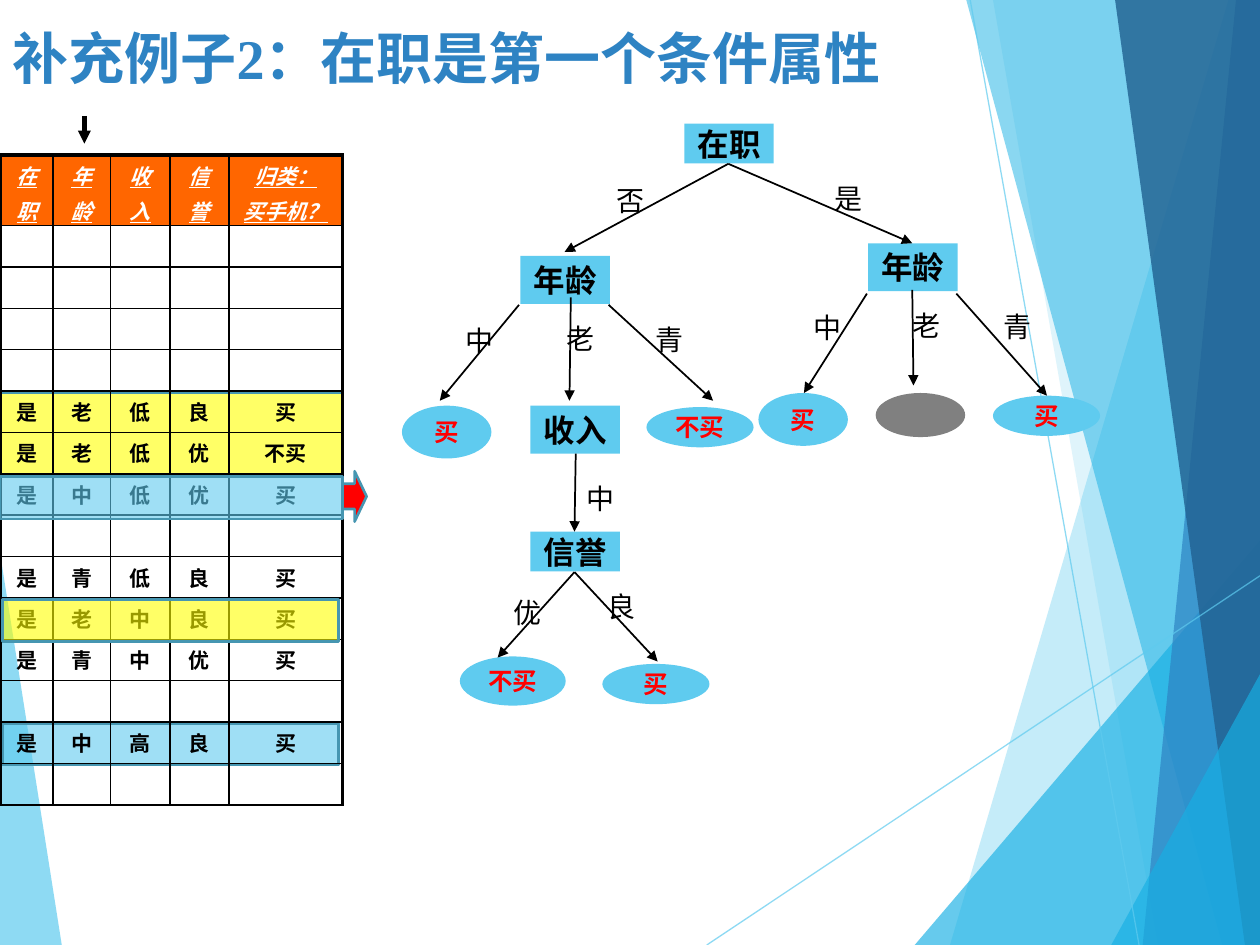
"""Build the slide on a decision tree whose first attribute is employment."""
import lxml.etree
import pptx
import pptx.dml.color
import pptx.enum.shapes
import pptx.enum.text
import pptx.oxml.ns
import pptx.util

Pt = pptx.util.Pt
RGB = pptx.dml.color.RGBColor
SHAPE = pptx.enum.shapes.MSO_SHAPE
ANCHOR = pptx.enum.text.MSO_ANCHOR
CENTER = pptx.enum.text.PP_ALIGN.CENTER
qn = pptx.oxml.ns.qn
SKY = RGB(0x5F, 0xCB, 0xEF)
AZURE = RGB(0x17, 0xB0, 0xE4)
BLUE = RGB(0x2E, 0x83, 0xC3)
NAVY = RGB(0x22, 0x62, 0x92)
TEAL = RGB(0x46, 0x96, 0xB1)
RED = RGB(0xFF, 0, 0)
YELLOW = RGB(0xFF, 0xFF, 0)
ORANGE = RGB(0xFF, 0x66, 0)
GREY = RGB(0x80, 0x80, 0x80)
BLACK = RGB(0, 0, 0)
WHITE = RGB(0xFF, 0xFF, 0xFF)
WIDE, HIGH = 720, 540

TITLE = "补充例子2：在职是第一个条件属性"
HEAD = ["在\n职", "年\n龄", "收\n入", "信\n誉", "归类：\n买手机？"]
BLANK = [""] * 5
ROWS = [
    HEAD, BLANK, BLANK, BLANK, BLANK,
    ["是", "老", "低", "良", "买"],
    ["是", "老", "低", "优", "不买"],
    ["是", "中", "低", "优", "买"],
    BLANK,
    ["是", "青", "低", "良", "买"],
    ["是", "老", "中", "良", "买"],
    ["是", "青", "中", "优", "买"],
    BLANK,
    ["是", "中", "高", "良", "买"],
    BLANK,
]
COLS = [29.5, 33.1, 33.8, 33.8, 64.8]
HEAD_H, ROW_H = 40.3, 23.66

BACK = [
    ([(0, 316), (35.3, HIGH), (0, HIGH)], SKY, 70),
    ([(702, 0), (542.9, HIGH), (WIDE, HIGH), (WIDE, 0)], SKY, 36),
    ([(567.4, 0), (661.7, HIGH), (WIDE, HIGH), (WIDE, 0)], SKY, 20),
    ([(522.7, HIGH), (WIDE, 308.9), (WIDE, HIGH)], AZURE, 66),
    ([(552.2, 0), (698.4, HIGH), (WIDE, HIGH), (WIDE, 0)], AZURE, 50),
    ([(706.3, 0), (653, HIGH), (WIDE, HIGH), (WIDE, 0)], BLUE, 70),
    ([(637.2, 0), (711.4, HIGH), (WIDE, HIGH), (WIDE, 0)], NAVY, 82),
    ([(635, HIGH), (WIDE, 385.2), (WIDE, HIGH)], AZURE, 66),
]
RAYS = [(403.9, HIGH, WIDE, 329), (554.4, 0, 650.9, HIGH)]
UNDER = [((1.4, 413.3, 192.2, 23.8), SKY), ((0, 224.6, 195.8, 47.5), YELLOW)]
OVER = [((1.4, 342.7, 192.2, 23.8), YELLOW), ((0, 272.2, 195.8, 24.5), SKY)]

TESTS = [
    ("在职", 391, 70.6, 22.7), ("年龄", 496.1, 139, 27.4),
    ("年龄", 297.4, 146.2, 27.4), ("收入", 303.1, 231.8, 27.4),
    ("信誉", 303.1, 303.8, 22.7),
]
LEAVES = [
    ("买", 433.4, 224.6, 51.1, 30.2), ("买", 567.4, 226.1, 61.2, 23),
    ("买", 229.7, 231.8, 51.1, 30.2), ("不买", 369.4, 232.6, 61.2, 23),
    ("不买", 262.8, 375.1, 60.5, 28.1), ("买", 344.2, 379.4, 61.2, 23),
]
EDGES = [
    (416.2, 93.6, 322.6, 144), (416.2, 93.6, 521.3, 139),
    (495.4, 167.8, 459.4, 224.6), (521.3, 165.6, 522, 220.3),
    (546.5, 167.8, 598.3, 226.1), (296.6, 174.2, 251.3, 229),
    (326.2, 169.9, 325.4, 229), (347.8, 174.2, 407.5, 229),
    (329, 259.2, 328.3, 303.8), (328.3, 326.9, 284.4, 375.8),
    (328.3, 326.9, 375.8, 378),
]
LABELS = [
    ("否", 337.7, 101.5), ("是", 462.2, 100.1), ("中", 450, 174.2),
    ("老", 506.9, 172.8), ("青", 558.7, 173.5), ("中", 251.3, 181.4),
    ("老", 308.9, 180), ("青", 360, 180.7), ("中", 320.4, 271.4),
    ("良", 332.6, 333.4), ("优", 278.6, 337),
]

SERIF = "Times New Roman"
FORMS = {
    "title": dict(size=Pt(32), name=SERIF, bold=True, color=BLUE),
    "test": dict(size=Pt(18), name="Lato", bold=True, color=BLACK),
    "leaf": dict(size=Pt(14), name="Lato", bold=True, color=RED),
    "label": dict(size=Pt(16), name=SERIF, color=BLACK),
    "head": dict(size=Pt(12), name=SERIF, bold=True, italic=True,
                 underline=True, color=WHITE),
    "cell": dict(size=Pt(12), name="Arial", bold=True, color=BLACK),
}

deck = pptx.Presentation()
deck.slide_width, deck.slide_height = Pt(WIDE), Pt(HIGH)
slide = deck.slides.add_slide(deck.slide_layouts[6])
shapes = slide.shapes


def pts(*vals):
    return [Pt(val) for val in vals]


def style(font, form):
    for key, val in FORMS[form].items():
        if key == "color":
            font.color.rgb = val
        else:
            setattr(font, key, val)


def write(frame, text, form, align=CENTER, gap=0):
    for i, part in enumerate(text.split("\n")):
        para = frame.add_paragraph() if i else frame.paragraphs[0]
        para.alignment = align
        if i and gap:
            para.space_before = Pt(gap)
        if part:
            run = para.add_run()
            run.text = part
            style(run.font, form)
        else:
            end = lxml.etree.SubElement(para._p, qn("a:endParaRPr"))
            end.set("sz", str(int(FORMS[form]["size"].pt * 100)))


def fade(part, share):
    for color in part.iter(qn("a:srgbClr")):
        alpha = lxml.etree.SubElement(color, qn("a:alpha"))
        alpha.set("val", str(share * 1000))


def paint(shape, fill, share=100, line=None):
    shape.shadow.inherit = False
    shape.fill.solid()
    shape.fill.fore_color.rgb = fill
    if share < 100:
        fade(shape._element.spPr, share)
    if line is None:
        shape.line.fill.background()
    else:
        shape.line.color.rgb = line
        shape.line.width = Pt(1.5)
    return shape


def block(kind, box, fill, share=100, line=None):
    return paint(shapes.add_shape(kind, *pts(*box)), fill, share, line)


def stroke(ends, color, width, share=100, arrow=True):
    line = shapes.add_connector(pptx.enum.shapes.MSO_CONNECTOR.STRAIGHT, *pts(*ends))
    line.line.color.rgb, line.line.width = color, Pt(width)
    props = line._element.spPr
    if share < 100:
        fade(props, share)
    if arrow:
        tail = lxml.etree.SubElement(props.find(qn("a:ln")), qn("a:tailEnd"))
        tail.set("type", "triangle")
    lxml.etree.SubElement(props, qn("a:effectLst"))


def node(kind, box, fill, text, form):
    frame = block(kind, box, fill).text_frame
    frame.word_wrap, frame.vertical_anchor = False, ANCHOR.MIDDLE
    write(frame, text, form)


def note(box, text, form, **opts):
    frame = shapes.add_textbox(*pts(*box)).text_frame
    frame.word_wrap = True
    write(frame, text, form, **opts)
    return frame


def border(cell, sides):
    props = cell._tc.get_or_add_tcPr()
    for i, (side, width) in enumerate(sides.items()):
        edge = lxml.etree.Element(qn("a:" + side), w=str(Pt(width)))
        solid = lxml.etree.SubElement(edge, qn("a:solidFill"))
        lxml.etree.SubElement(solid, qn("a:srgbClr"), val=str(BLACK))
        props.insert(i, edge)


def fill_table():
    size = sum(COLS), HEAD_H + ROW_H * (len(ROWS) - 1)
    table = shapes.add_table(len(ROWS), len(COLS), *pts(0.7, 88.6, *size)).table
    table.first_row = table.horz_banding = False
    for col, width in zip(table.columns, COLS):
        col.width = Pt(width)
    for r, row in enumerate(ROWS):
        table.rows[r].height = Pt(ROW_H if r else HEAD_H)
        for c, text in enumerate(row):
            cell = table.cell(r, c)
            cell.margin_top, cell.margin_bottom = pts(3, 0)
            write(cell.text_frame, text, "cell" if r else "head", gap=2.4)
            if r:
                cell.fill.background()
            else:
                cell.fill.solid()
                cell.fill.fore_color.rgb = ORANGE
            border(cell, {"lnL": 1, "lnR": 2.25 if c == len(COLS) - 1 else 1,
                          "lnT": 1 if r else 2.25, "lnB": 1})


for dots, color, share in BACK:
    path = shapes.build_freeform(*pts(*dots[0]))
    path.add_line_segments([pts(*dot) for dot in dots[1:]], close=True)
    paint(path.convert_to_shape(), color, share)
for ends in RAYS:
    stroke(ends, SKY, 0.75, 70, arrow=False)
block(SHAPE.RIGHT_ARROW, (195.8, 269.3, 13.7, 28.8), RED, line=TEAL)
note((0, 13.7, 619.2, 38.2), TITLE, "title", align=None).vertical_anchor = ANCHOR.MIDDLE
stroke((48.2, 66.2, 48.2, 82.1), BLACK, 2.5)
for box, color in UNDER:
    block(SHAPE.RECTANGLE, box, color, 60, TEAL)
fill_table()
for box, color in OVER:
    block(SHAPE.RECTANGLE, box, color, 60, TEAL)
block(SHAPE.OVAL, (500.4, 224.6, 51.1, 25.2), GREY)
for text, x, y, high in TESTS:
    node(SHAPE.RECTANGLE, (x, y, 51.1, high), SKY, text, "test")
for text, *box in LEAVES:
    node(SHAPE.OVAL, box, SKY, text, "leaf")
for ends in EDGES:
    stroke(ends, BLACK, 1)
for text, x, y in LABELS:
    note((x, y, 45.4, 26.6), text, "label")
deck.save("out.pptx")
